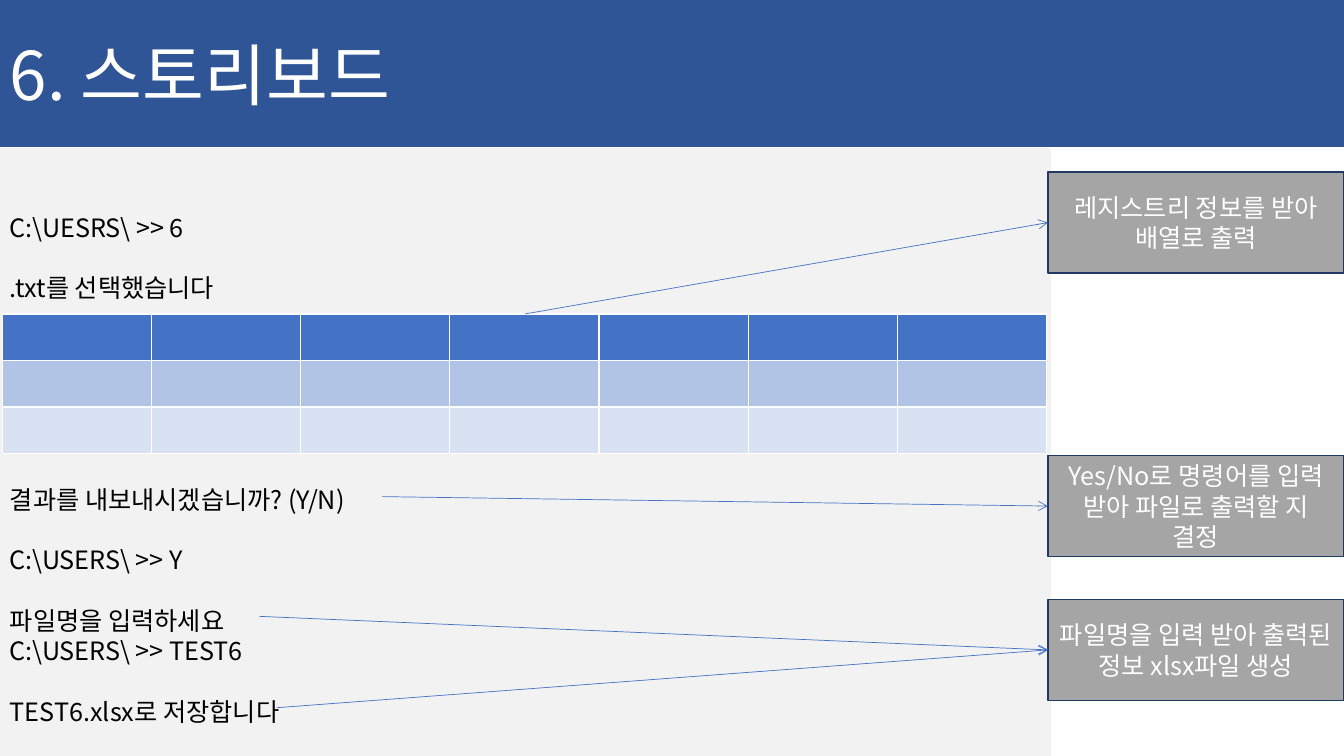
"""Build the storyboard slide: console mock-up, result table and callouts."""
import lxml.etree
import pptx
import pptx.dml.color
import pptx.enum.shapes
import pptx.enum.text
import pptx.oxml.ns
import pptx.util

COLORS = {
    "banner": "2F5597",
    "console": "F2F2F2",
    "callout": "A5A5A5",
    "callout_edge": "223961",
    "accent": "4472C4",
    "band_dark": "B1C4E6",
    "band_light": "D9E2F3",
    "white": "FFFFFF",
    "black": "000000",
}
LINE_PITCH = 21.6


class Storyboard:
    """Holds the style and the slide, and draws each kind of element."""

    font = "Noto Sans CJK KR"
    emu_per_px = 9525

    def __init__(self, presentation):
        presentation.slide_width = self.px(1280)
        presentation.slide_height = self.px(720)
        self.slide = presentation.slides.add_slide(presentation.slide_layouts[6])

    def px(self, length):
        return pptx.util.Emu(length * self.emu_per_px)

    def color(self, key):
        return pptx.dml.color.RGBColor.from_string(COLORS[key])

    def panel(self, box, fill, edge=None):
        panel = self.slide.shapes.add_shape(
            pptx.enum.shapes.MSO_SHAPE.RECTANGLE, *map(self.px, box))
        panel.shadow.inherit = False
        panel.fill.solid()
        panel.fill.fore_color.rgb = self.color(fill)
        if edge:
            panel.line.color.rgb = self.color(edge)
            panel.line.width = pptx.util.Pt(1)
        else:
            panel.line.fill.background()
        panel.text_frame.word_wrap = True
        panel.text_frame.vertical_anchor = pptx.enum.text.MSO_ANCHOR.MIDDLE
        return panel

    def style_text(self, paragraph, text, size, color, align="LEFT", pitch=None):
        paragraph.text = text
        paragraph.alignment = getattr(pptx.enum.text.PP_ALIGN, align)
        if pitch:
            paragraph.line_spacing = pptx.util.Pt(pitch)
        for run in paragraph.runs:
            run.font.size = pptx.util.Pt(size)
            run.font.color.rgb = self.color(color)
            run.font.name = self.font
            east_asian = lxml.etree.SubElement(
                run.font._element, pptx.oxml.ns.qn("a:ea"))
            east_asian.set("typeface", self.font)

    def banner(self, box, text):
        banner = self.panel(box, "banner")
        self.style_text(banner.text_frame.paragraphs[0], text, 48, "white")

    def console(self, box, top_inset, lines):
        frame = self.panel(box, "console").text_frame
        frame.vertical_anchor = pptx.enum.text.MSO_ANCHOR.TOP
        frame.margin_top = self.px(top_inset)
        for index, (gap_lines, text) in enumerate(lines):
            paragraph = frame.add_paragraph() if index else frame.paragraphs[0]
            self.style_text(paragraph, text, 18, "black", pitch=LINE_PITCH)
            paragraph.space_before = pptx.util.Pt(gap_lines * LINE_PITCH)

    def callout(self, box, text):
        callout = self.panel(box, "callout", "callout_edge")
        self.style_text(callout.text_frame.paragraphs[0], text, 18, "white",
                        "CENTER", LINE_PITCH)

    def table(self, box, columns, row_fills):
        table = self.slide.shapes.add_table(
            len(row_fills), columns, *map(self.px, box)).table
        for row, fill in zip(table.rows, row_fills):
            for cell in row.cells:
                cell.fill.solid()
                cell.fill.fore_color.rgb = self.color(fill)

    def arrow(self, start, end):
        arrow = self.slide.shapes.add_connector(
            pptx.enum.shapes.MSO_CONNECTOR.STRAIGHT,
            *map(self.px, (*start, *end)))
        arrow.line.color.rgb = self.color("accent")
        arrow.line.width = pptx.util.Pt(0.5)
        outline = arrow._element.spPr.find(pptx.oxml.ns.qn("a:ln"))
        head = lxml.etree.SubElement(outline, pptx.oxml.ns.qn("a:tailEnd"))
        head.set("type", "arrow")
        lxml.etree.SubElement(
            arrow._element.spPr, pptx.oxml.ns.qn("a:effectLst"))


def main():
    presentation = pptx.Presentation()
    board = Storyboard(presentation)
    board.banner((0, 0, 1280, 140), "6. 스토리보드")
    board.console((0, 141, 1001, 579), 61, [
        (0, r"C:\UESRS\ >> 6"),
        (1, ".txt를 선택했습니다"),
        (6, "결과를 내보내시겠습니까? (Y/N)"),
        (1, r"C:\USERS\ >> Y"),
        (1, "파일명을 입력하세요"),
        (0, r"C:\USERS\ >> TEST6"),
        (1, "TEST6.xlsx로 저장합니다"),
    ])
    board.table((2, 299, 995, 133), 7, ["accent", "band_dark", "band_light"])

    callout_left, callout_width, callout_height = 998, 282, 96
    notes = [
        (164, "레지스트리 정보를 받아 배열로 출력", [(500, 299)]),
        (434, "Yes/No로 명령어를 입력 받아 파일로 출력할 지 결정", [(364, 473)]),
        (571, "파일명을 입력 받아 출력된 정보 xlsx파일 생성",
         [(247, 587), (264, 674)]),
    ]
    for top, text, sources in notes:
        board.callout((callout_left, top, callout_width, callout_height), text)
        for source in sources:
            board.arrow(source, (callout_left, top + callout_height // 2))
    presentation.save("out.pptx")


if __name__ == "__main__":
    main()
